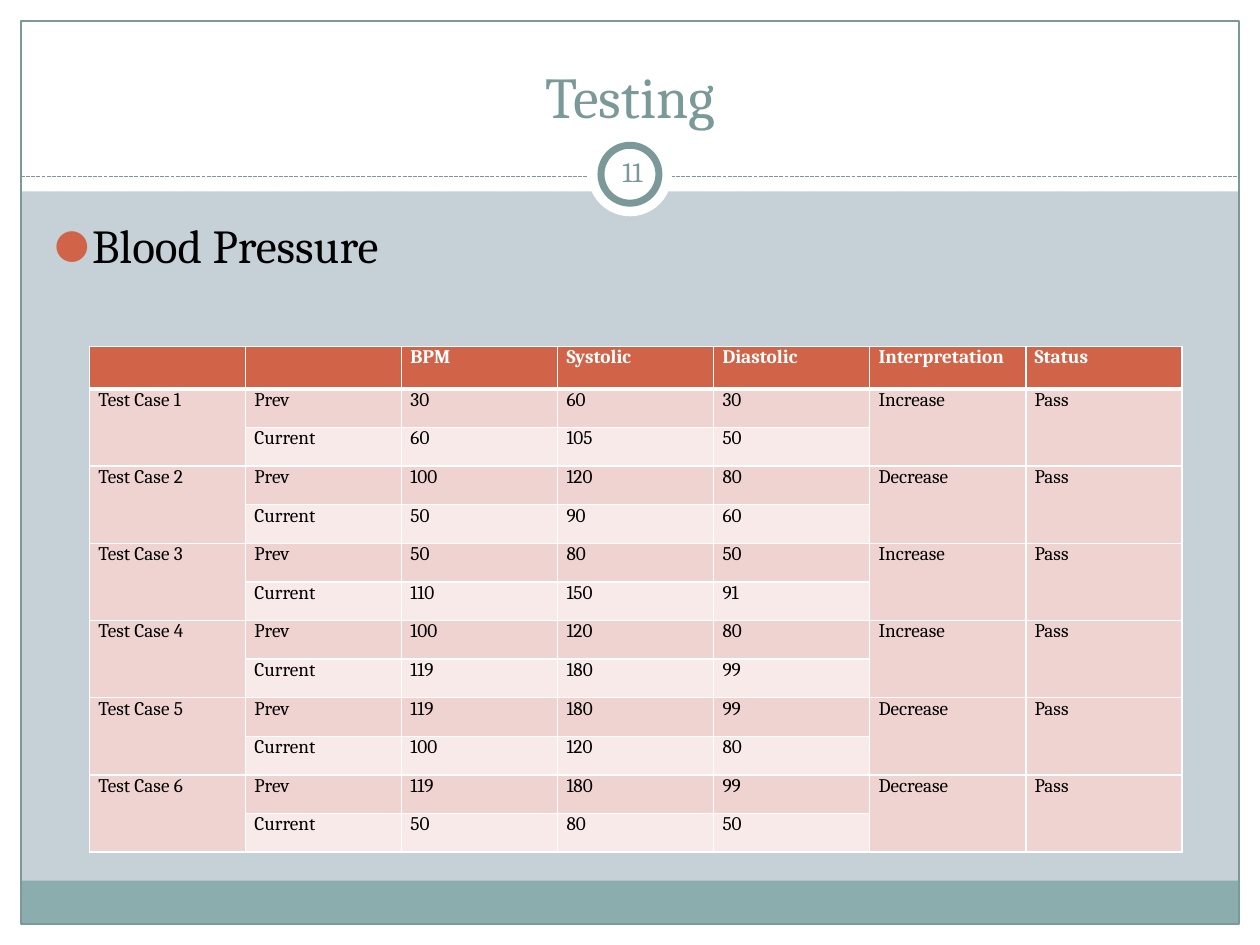
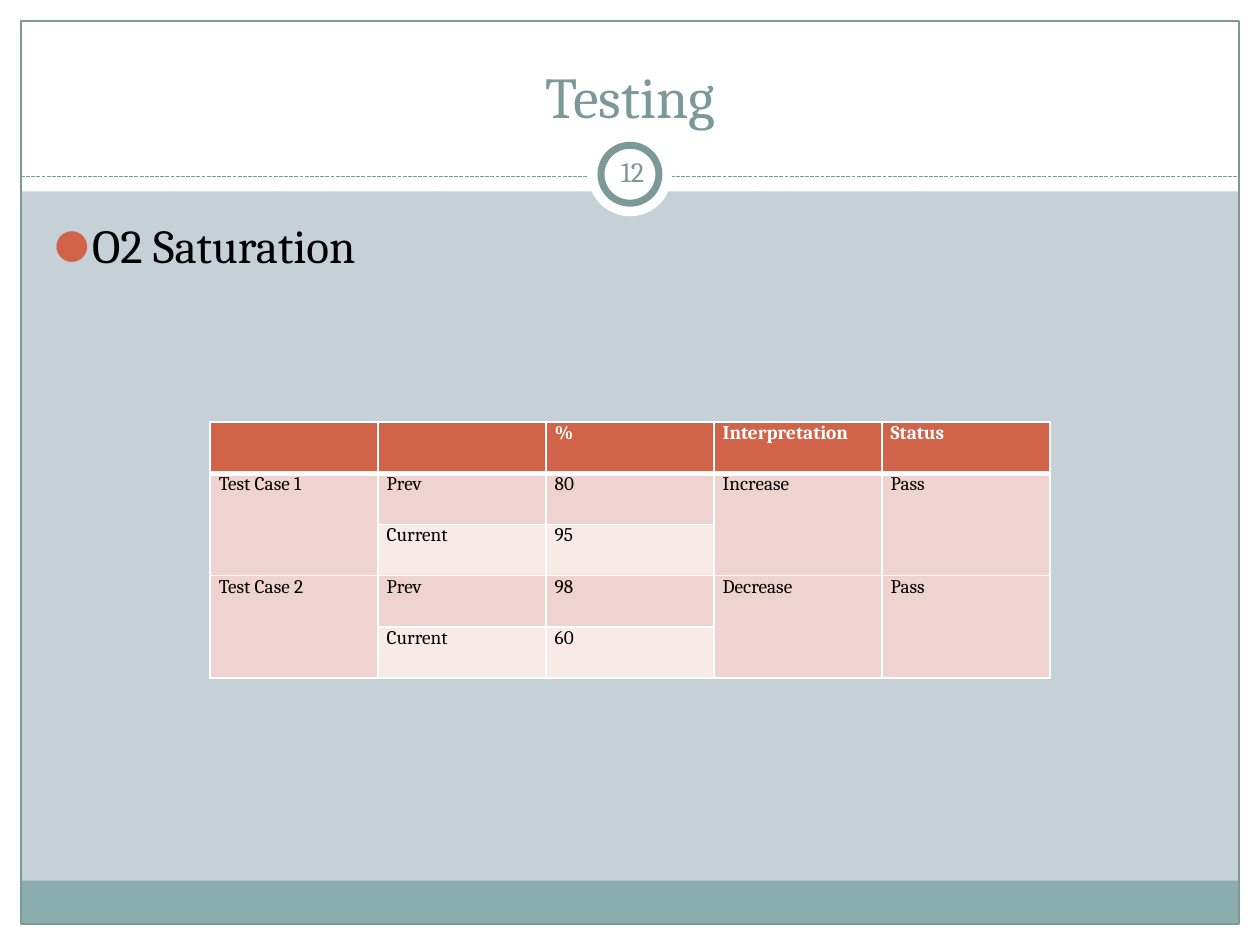
import pptx
import pptx.dml.color
import pptx.enum.dml
import pptx.enum.shapes
import pptx.enum.text
import pptx.oxml.ns
import pptx.util
from lxml import etree

RGBColor = pptx.dml.color.RGBColor
Shape = pptx.enum.shapes.MSO_SHAPE
Align = pptx.enum.text.PP_ALIGN
Anchor = pptx.enum.text.MSO_ANCHOR
Pt = pptx.util.Pt
Inches = pptx.util.Inches
qn = pptx.oxml.ns.qn

MIST = RGBColor(0xC5, 0xD1, 0xD7)
WHITE = RGBColor(0xFF, 0xFF, 0xFF)
BLACK = RGBColor(0x00, 0x00, 0x00)
TEAL = RGBColor(0x8C, 0xAD, 0xAE)
SLATE = RGBColor(0x7C, 0x99, 0x9A)
RUST = RGBColor(0xD1, 0x63, 0x49)
PINK = RGBColor(0xEE, 0xD3, 0xD0)
PALE_PINK = RGBColor(0xF7, 0xEA, 0xE9)

FONT = "Cambria"
COLUMNS, ROWS = 60, 45  # square grid units over the whole slide
CELL_SIZE = 11

# Each test case: previous readings, current readings, interpretation
BLOOD_PRESSURE = [
    ((30, 60, 30), (60, 105, 50), "Increase"),
    ((100, 120, 80), (50, 90, 60), "Decrease"),
    ((50, 80, 50), (110, 150, 91), "Increase"),
    ((100, 120, 80), (119, 180, 99), "Increase"),
    ((119, 180, 99), (100, 120, 80), "Decrease"),
    ((119, 180, 99), (50, 80, 50), "Decrease"),
]
O2_SATURATION = [
    ((80,), (95,), "Increase"),
    ((98,), (60,), "Decrease"),
]


class Deck:
    def __init__(self):
        self.prs = pptx.Presentation()
        self.prs.slide_width = Inches(10)
        self.prs.slide_height = Inches(7.5)
        background = self.prs.slide_master.background.fill
        background.solid()
        background.fore_color.rgb = MIST
        self.slide = None

    def x(self, columns):
        return round(self.prs.slide_width * columns / COLUMNS)

    def y(self, rows):
        return round(self.prs.slide_height * rows / ROWS)

    def box(self, left, top, width, height):
        return self.x(left), self.y(top), self.x(width), self.y(height)

    def run(self, paragraph, text, size, color, bold=False):
        run = paragraph.add_run()
        run.text = text
        run.font.name = FONT
        run.font.size = Pt(size)
        run.font.bold = bold
        run.font.color.rgb = color

    def shape(self, kind, area, fill=None, line=None, weight=0.75):
        shape = self.slide.shapes.add_shape(kind, *self.box(*area))
        shape.shadow.inherit = False
        if fill is None:
            shape.fill.background()
        else:
            shape.fill.solid()
            shape.fill.fore_color.rgb = fill
        if line is None:
            shape.line.fill.background()
        else:
            shape.line.color.rgb = line
            shape.line.width = Pt(weight)

    def dashed_rule(self, left, right, row):
        rule = self.slide.shapes.add_connector(
            pptx.enum.shapes.MSO_CONNECTOR.STRAIGHT,
            self.x(left), self.y(row), self.x(right), self.y(row))
        rule.line.color.rgb = SLATE
        rule.line.width = Pt(0.75)
        rule.line.dash_style = pptx.enum.dml.MSO_LINE.SQUARE_DOT
        properties = rule.element.find(qn("p:spPr"))
        etree.SubElement(properties, qn("a:effectLst"))

    def text_box(self, area):
        frame = self.slide.shapes.add_textbox(*self.box(*area)).text_frame
        frame.word_wrap = True
        return frame

    def title(self, text):
        title = self.slide.shapes.title
        title.left, title.top, title.width, title.height = self.box(2, 1.5, 56, 5)
        frame = title.text_frame
        frame.auto_size = pptx.enum.text.MSO_AUTO_SIZE.NONE
        frame.vertical_anchor = Anchor.BOTTOM
        frame.paragraphs[0].alignment = Align.CENTER
        self.run(frame.paragraphs[0], text, 33, SLATE)
        # Bring the title in front of the white band
        title.element.getparent().append(title.element)

    def page_number(self, number):
        frame = self.text_box((28.62, 6.72, 3, 2.88))
        frame.margin_left = frame.margin_right = Inches(0.05)
        frame.margin_top = frame.margin_bottom = Inches(0.05)
        frame.vertical_anchor = Anchor.MIDDLE
        frame.paragraphs[0].alignment = Align.CENTER
        self.run(frame.paragraphs[0], str(number), 16, SLATE)

    def bullet(self, text):
        paragraph = self.text_box((2, 10, 55.8, 30)).paragraphs[0]
        paragraph.space_before = Pt(5.4)
        self.run(paragraph, text, 27, BLACK)
        properties = paragraph._p.get_or_add_pPr()
        properties.set("marL", str(Inches(0.3)))
        properties.set("indent", str(-Inches(0.3)))
        color = etree.SubElement(properties, qn("a:buClr"))
        etree.SubElement(color, qn("a:srgbClr"), val=str(RUST))
        etree.SubElement(properties, qn("a:buSzPct"), val="85000")
        etree.SubElement(properties, qn("a:buFont"), typeface=FONT)
        etree.SubElement(properties, qn("a:buChar"), char="●")

    def start(self, title, number, topic):
        """Add a slide with the shared frame, title, page number and topic."""
        self.slide = self.prs.slides.add_slide(self.prs.slide_layouts[5])
        for margin in ((0, 44, 60, 1), (0, 0, 60, 9.12),
                       (0, 0, 1, 45), (59, 0, 1, 45)):
            self.shape(Shape.RECTANGLE, margin, WHITE)
        self.shape(Shape.RECTANGLE, (1, 41.94, 58, 2.06), TEAL)
        self.shape(Shape.RECTANGLE, (1, 1, 58, 43), line=SLATE)
        self.dashed_rule(1, 59, 8.4)
        self.shape(Shape.OVAL, (28, 6.3, 4, 4), WHITE)
        self.shape(Shape.OVAL, (28.62, 6.92, 2.76, 2.76), WHITE, SLATE, 4)
        self.title(title)
        self.page_number(number)
        self.bullet(topic)

    def cell(self, cell, text, fill, color, bold, top, bottom):
        cell.margin_left = cell.margin_right = Inches(0.07)
        cell.margin_top = cell.margin_bottom = 0
        paragraph = cell.text_frame.paragraphs[0]
        if text:
            self.run(paragraph, text, CELL_SIZE, color, bold)
        else:
            etree.SubElement(paragraph._p, qn("a:endParaRPr"),
                             sz=str(CELL_SIZE * 100))
        properties = cell._tc.get_or_add_tcPr()
        for side, weight in (("L", 1), ("R", 1), ("T", top), ("B", bottom)):
            border = etree.SubElement(properties, qn(f"a:ln{side}"),
                                      w=str(Pt(weight)))
            paint = etree.SubElement(border, qn("a:solidFill"))
            etree.SubElement(paint, qn("a:srgbClr"), val=str(WHITE))
        cell.fill.solid()
        cell.fill.fore_color.rgb = fill

    def results(self, measures, cases, left, top, column, header, row):
        """Draw test cases, two rows each; sizes are in grid units."""
        lines = [["", "", *measures, "Interpretation", "Status"]]
        for number, (previous, current, reading) in enumerate(cases, 1):
            lines.append([f"Test Case {number}", "Prev", *previous, reading, "Pass"])
            lines.append(["", "Current", *current, "", ""])
        width = len(lines[0])
        heights = [header] + [row] * (len(lines) - 1)
        table = self.slide.shapes.add_table(
            len(lines), width,
            *self.box(left, top, column * width, sum(heights))).table
        table.horz_banding = False
        for table_column in table.columns:
            table_column.width = self.x(column)
        for r, (line, height) in enumerate(zip(lines, heights)):
            table.rows[r].height = self.y(height)
            is_header = r == 0
            fill = RUST if is_header else PINK if r % 2 else PALE_PINK
            for c, value in enumerate(line):
                self.cell(table.cell(r, c), str(value), fill,
                          WHITE if is_header else BLACK, is_header,
                          top=3 if r == 1 else 1, bottom=3 if is_header else 1)
        for r in range(1, len(lines), 2):
            for c in (0, width - 2, width - 1):
                table.cell(r, c).merge(table.cell(r + 1, c))


def main():
    deck = Deck()
    deck.start("Testing", 11, "Blood Pressure")
    deck.results(("BPM", "Systolic", "Diastolic"), BLOOD_PRESSURE,
                 left=4.27, top=16.5, column=7.43, header=2.02, row=1.84)
    deck.start("Testing", 12, "O2 Saturation")
    deck.results(("%",), O2_SATURATION,
                 left=10, top=20.1, column=8, header=2.44, row=2.44)
    deck.prs.save("out.pptx")


if __name__ == "__main__":
    main()
